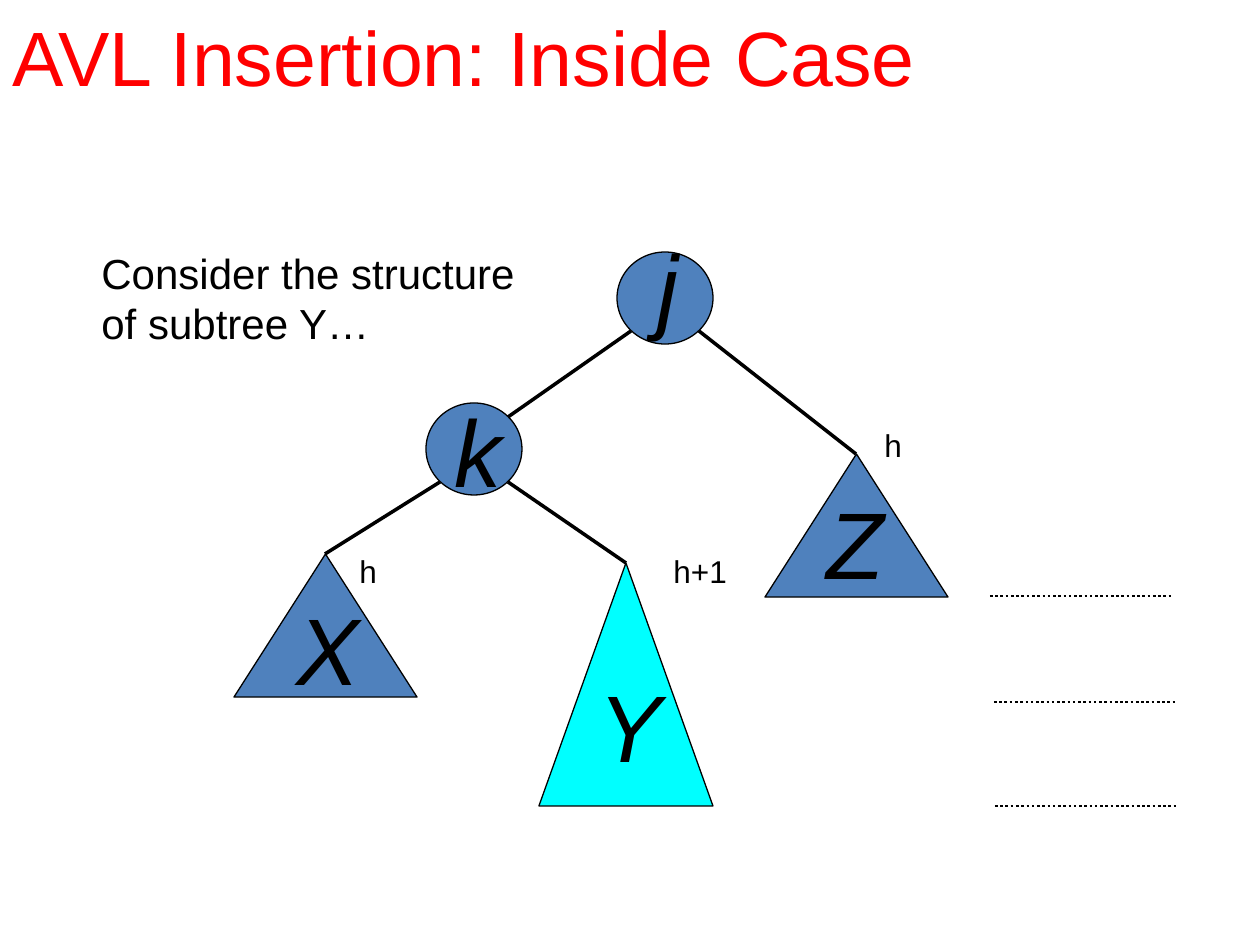
from pptx import Presentation
from pptx import util as u
from pptx.dml.color import RGBColor
from pptx.enum import dml, shapes, text
from pptx.oxml.ns import qn
from lxml import etree

PX = 914400 // 126
BLACK = RGBColor(0, 0, 0)
RED = RGBColor(255, 0, 0)
BLUE = RGBColor(0x4F, 0x81, 0xBD)
CYAN = RGBColor(0, 255, 255)


class Board:
    font = "Arial"

    def __init__(self, slide):
        self.s = slide

    def shape(self, kind, x, y, w, h, fill):
        sp = self.s.shapes.add_shape(kind, x * PX, y * PX, w * PX, h * PX)
        sp.shadow.inherit = False
        sp.fill.solid()
        sp.fill.fore_color.rgb = fill
        sp.line.color.rgb = BLACK
        sp.line.width = u.Pt(0.75)

    def line(self, start, end, width=2, dash=None):
        points = [v * PX for v in (*start, *end)]
        c = self.s.shapes.add_connector(shapes.MSO_CONNECTOR.STRAIGHT, *points)
        c.line.color.rgb = BLACK
        c.line.width = u.Pt(width)
        if dash:
            c.line.dash_style = dash
        etree.SubElement(c._element.spPr, qn("a:effectLst"))

    def text(self, words, x, y, w, h, size, color=BLACK, italic=False,
             wrap=False, grow=True, anchor=text.MSO_ANCHOR.TOP):
        sp = self.s.shapes.add_textbox(x * PX, y * PX, w * PX, h * PX)
        tf = sp.text_frame
        tf.text = words
        tf.word_wrap = wrap
        tf.vertical_anchor = anchor
        fit = text.MSO_AUTO_SIZE
        tf.auto_size = fit.SHAPE_TO_FIT_TEXT if grow else fit.NONE
        for p in tf.paragraphs:
            for r in p.runs:
                r.font.name = self.font
                r.font.size = u.Pt(size)
                r.font.italic = italic
                r.font.color.rgb = color

    def letter(self, name, x, y):
        self.text(name, x, y, 58, 126, 54, italic=True, wrap=True)


prs = Presentation()
prs.slide_width, prs.slide_height = u.Inches(10), u.Inches(7.5)
b = Board(prs.slides.add_slide(prs.slide_layouts[6]))

# Title and remark
b.text("AVL Insertion: Inside Case", 0, 0, 1077, 111, 44, RED,
       wrap=True, grow=False, anchor=text.MSO_ANCHOR.MIDDLE)
b.text("Consider the structure\nof subtree Y…", 89, 241, 438, 113, 24)

# Nodes: circle corner, letter corner
nodes = {"j": (617, 252, 645, 222), "k": (426, 403, 442, 387)}
for name, (x, y, tx, ty) in nodes.items():
    b.shape(shapes.MSO_SHAPE.OVAL, x, y, 96, 92, BLUE)
    b.letter(name, tx, ty)

# Subtrees: triangle box, fill, letter corner
subtrees = {
    "X": (234, 554, 183, 143, BLUE, 284, 585),
    "Y": (539, 563, 174, 243, CYAN, 586, 662),
    "Z": (765, 454, 183, 143, BLUE, 814, 479),
}
for name, (x, y, w, h, fill, tx, ty) in subtrees.items():
    b.shape(shapes.MSO_SHAPE.ISOSCELES_TRIANGLE, x, y, w, h, fill)
    b.letter(name, tx, ty)


# Edges leave a node at its lower corners
def corner(name, right, low):
    x, y = nodes[name][:2]
    return x + (82 if right else 14), y + (79 if low else 14)


def apex(name):
    x, y, w = subtrees[name][:3]
    return x + w // 2, y


for parent, right, end in (("j", False, corner("k", True, False)),
                           ("j", True, apex("Z")),
                           ("k", False, apex("X")),
                           ("k", True, apex("Y"))):
    b.line(corner(parent, right, True), end)

# Level marks
for x, y in ((990, 596), (994, 702), (995, 806)):
    b.line((x, y), (x + 183, y), 1.5, dml.MSO_LINE.ROUND_DOT)

# Heights
for words, x, y, w in (("h", 872, 420, 45), ("h+1", 661, 546, 84),
                       ("h", 347, 546, 45)):
    b.text(words, x, y, w, 54, 18)

prs.save("out.pptx")
